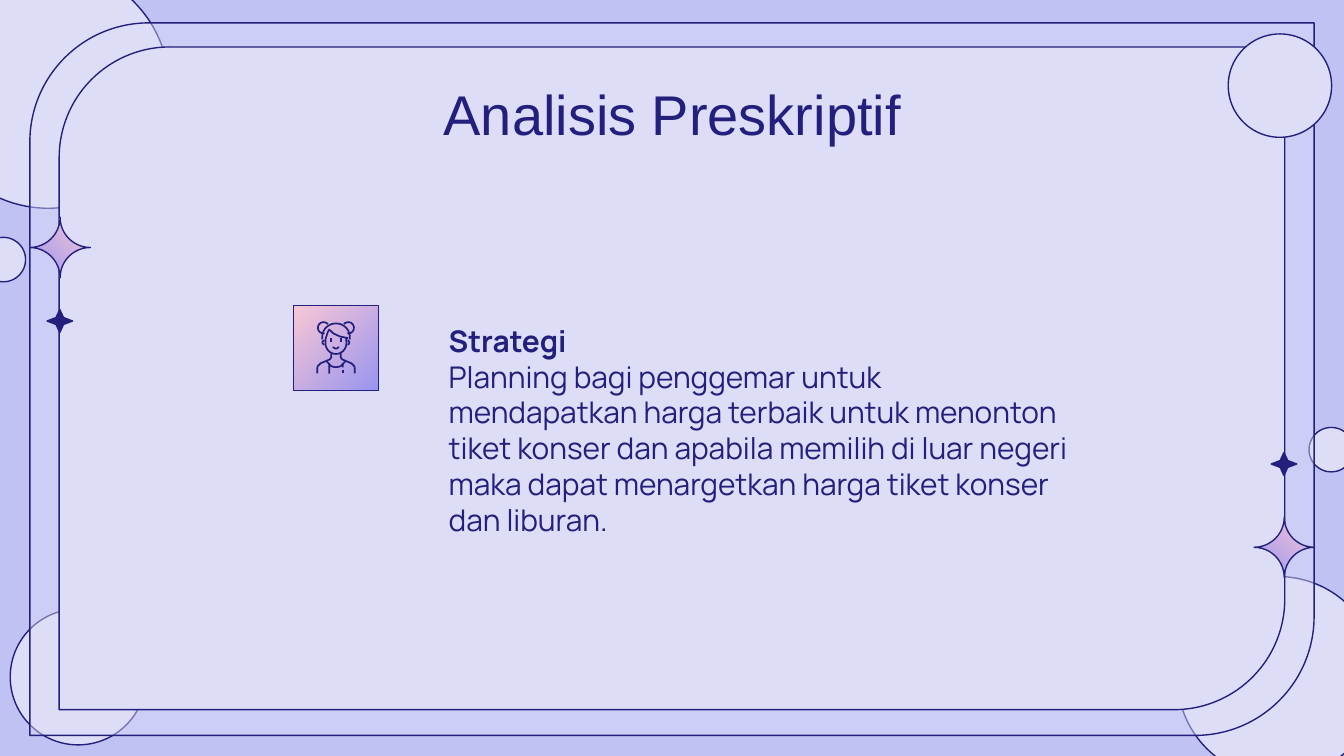
from math import cos, radians, sin

from lxml.etree import SubElement
from pptx import Presentation
from pptx.dml.color import RGBColor
from pptx.enum.shapes import MSO_SHAPE
from pptx.enum.text import MSO_ANCHOR, PP_ALIGN
from pptx.oxml.ns import qn
from pptx.util import Pt

COLORS = {
    "background": "C0C2F4",
    "panel": "DEDDF8",
    "ink": "231F7C",
    "pink": "F8C7D5",
    "violet": "9995EF",
}
ICON_CENTER, ICON_TOP, ICON_UNIT = 180, 172, 0.72


def rgb(name):
    """Return the named colour."""
    return RGBColor.from_string(COLORS[name])


def outline(s, width=0.75):
    """Give a shape an ink line and no shadow."""
    s.shadow.inherit = False
    s.line.color.rgb = rgb("ink")
    s.line.width = Pt(width)


def add_outlined(slide, kind, x, y, w, h, fill="panel", adj=(), alpha=None):
    """Add a solid preset shape with an ink line."""
    s = slide.shapes.add_shape(kind, Pt(x), Pt(y), Pt(w), Pt(h))
    outline(s)
    for i, value in enumerate(adj):
        s.adjustments[i] = value
    s.fill.solid()
    s.fill.fore_color.rgb = rgb(fill)
    if alpha is not None:
        color = s._element.spPr.find(qn("a:solidFill"))[0]
        SubElement(color, qn("a:alpha")).set("val", str(alpha * 1000))
    return s


def add_circle(slide, x, y, d):
    """Add a pale circle."""
    return add_outlined(slide, MSO_SHAPE.OVAL, x, y, d, d)


def add_gradient(slide, kind, x, y, d, angle, adj=()):
    """Add a square preset shape shaded from pink to violet."""
    s = add_outlined(slide, kind, x, y, d, d, adj=adj)
    s.fill.gradient()
    s.fill.gradient_angle = angle
    for stop, name, position in zip(s.fill.gradient_stops, ("pink", "violet"), (0, 1)):
        stop.color.rgb = rgb(name)
        stop.position = position
    return s


def add_text(slide, x, y, w, h, paragraphs, font, size, align=PP_ALIGN.LEFT):
    """Add a text box from lists of (text, bold) runs."""
    tf = slide.shapes.add_textbox(Pt(x), Pt(y), Pt(w), Pt(h)).text_frame
    tf.word_wrap = True
    tf.vertical_anchor = MSO_ANCHOR.TOP
    tf.margin_left = tf.margin_right = tf.margin_top = tf.margin_bottom = Pt(7.2)
    for i, runs in enumerate(paragraphs):
        p = tf.paragraphs[0] if i == 0 else tf.add_paragraph()
        p.alignment = align
        for text, bold in runs:
            r = p.add_run()
            r.text = text
            r.font.name = font
            r.font.size = Pt(size)
            r.font.bold = bold
            r.font.color.rgb = rgb("ink")


def arc(cx, cy, rx, ry, start, end, steps=16):
    """Return points along an elliptical arc, with angles in degrees."""
    angles = [radians(start + (end - start) * i / steps) for i in range(steps + 1)]
    return [(cx + rx * cos(a), cy + ry * sin(a)) for a in angles]


def add_stroke(slide, points, side=1):
    """Draw an open icon stroke, mirrored when side is -1."""
    places = [
        (Pt(ICON_CENTER + side * x * ICON_UNIT), Pt(ICON_TOP + y * ICON_UNIT))
        for x, y in points
    ]
    builder = slide.shapes.build_freeform(*places[0])
    builder.add_line_segments(places[1:], close=False)
    s = builder.convert_to_shape()
    s.fill.background()
    outline(s, 0.9)


def add_girl_icon(slide):
    """Draw the line icon of a girl with two hair buns."""
    mirrored = [
        arc(9.2, 5, 4.2, 4.2, -140, 100),
        arc(8.5, 16, 1.5, 1.5, -90, 90),
        [(3.7, 14.2), (3.7, 15.8)],
        [(3, 13.2), (4.6, 13.2)],
        [(3.5, 24), (3.5, 27), (4.5, 28.5), (11.5, 31.5), (13.5, 33.5), (14, 35), (14, 39)],
    ]
    single = [
        arc(0, 12, 10.3, 10.2, -190, 10),
        arc(0, 16.5, 7.8, 8, 0, 180),
        [(-7.8, 16.5), (-7.7, 13), (-6, 8), (-5, 6.3), (-2, 9.2), (3, 11.5), (9, 12.7)],
        [(7.8, 16.5), (7.5, 12.5)],
        arc(0, 19, 2, 1.5, 0, 180),
        arc(0, 31.5, 5, 2.8, 0, 180),
        [(-7, 30), (-5, 32), (-5, 39)],
        [(7, 30), (5, 32), (5, 34.5)],
        [(5, 36.5), (5, 39)],
    ]
    for side in (-1, 1):
        for points in mirrored:
            add_stroke(slide, points, side)
    for points in single:
        add_stroke(slide, points)


def add_frame(slide):
    """Add the background circles and the two nested panels."""
    circles = [
        (-38.9, -18, 129.6),
        (630.7, 308.9, 108),
        (701.3, 229, 23.8),
        (5.5, 326.3, 72.8),
    ]
    for circle in circles:
        add_circle(slide, *circle)
    panel = MSO_SHAPE.ROUND_2_DIAG_RECTANGLE
    add_outlined(slide, panel, 16, 12.3, 688, 381.7, adj=(0.167, 0), alpha=45)
    add_outlined(slide, panel, 31.7, 25.2, 656.6, 355, adj=(0.167, 0))
    add_circle(slide, -10.1, 127.2, 23.8)


def add_sparkles(slide):
    """Add the large and small stars on both edges."""
    for x, y in ((671.8, 277), (16, 116.4)):
        add_gradient(slide, MSO_SHAPE.PLAQUE, x, y, 32.4, 225, adj=(0.5,))
    for x, y in ((681, 242.4), (25.2, 165.8)):
        add_outlined(slide, MSO_SHAPE.STAR_4_POINT, x, y, 13.7, 12.4, "ink", (0.209,))


def main():
    """Build and save the slide."""
    prs = Presentation()
    prs.slide_width, prs.slide_height = Pt(720), Pt(405)
    slide = prs.slides.add_slide(prs.slide_layouts[6])
    slide.background.fill.solid()
    slide.background.fill.fore_color.rgb = rgb("background")
    add_frame(slide)
    strategy = (
        "Planning bagi penggemar untuk mendapatkan harga terbaik untuk menonton "
        "tiket konser dan apabila memilih di luar negeri maka dapat menargetkan "
        "harga tiket konser dan liburan."
    )
    add_text(slide, 233.3, 165.6, 349.2, 136.8,
             [[("Strategi", True)], [(strategy, False)]], "Manrope", 16)
    add_text(slide, 56.7, 35.3, 607, 45.4,
             [[("Analisis Preskriptif", False)]], "Arial", 30, PP_ALIGN.CENTER)
    add_gradient(slide, MSO_SHAPE.RECTANGLE, 157.3, 163.8, 45.4, 315)
    add_girl_icon(slide)
    add_circle(slide, 658, 18.2, 55.4)
    add_sparkles(slide)
    prs.save("out.pptx")


if __name__ == "__main__":
    main()
